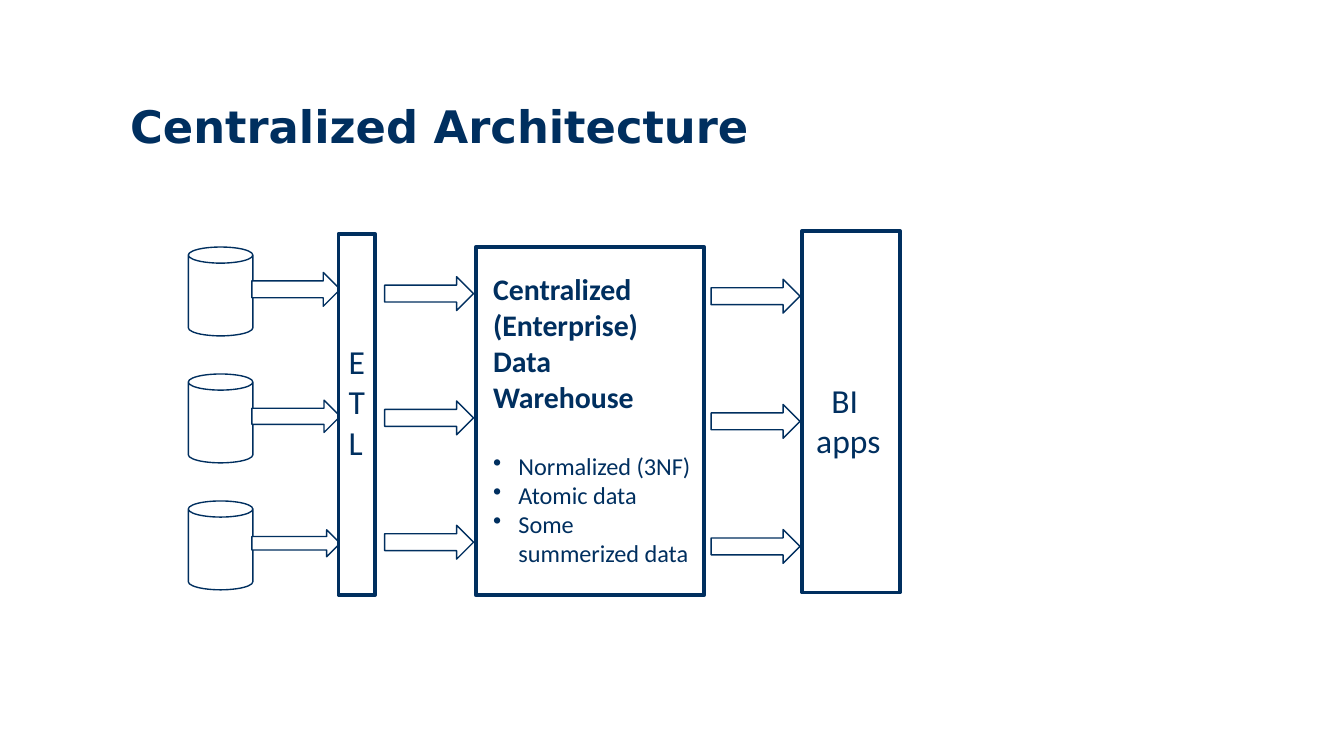
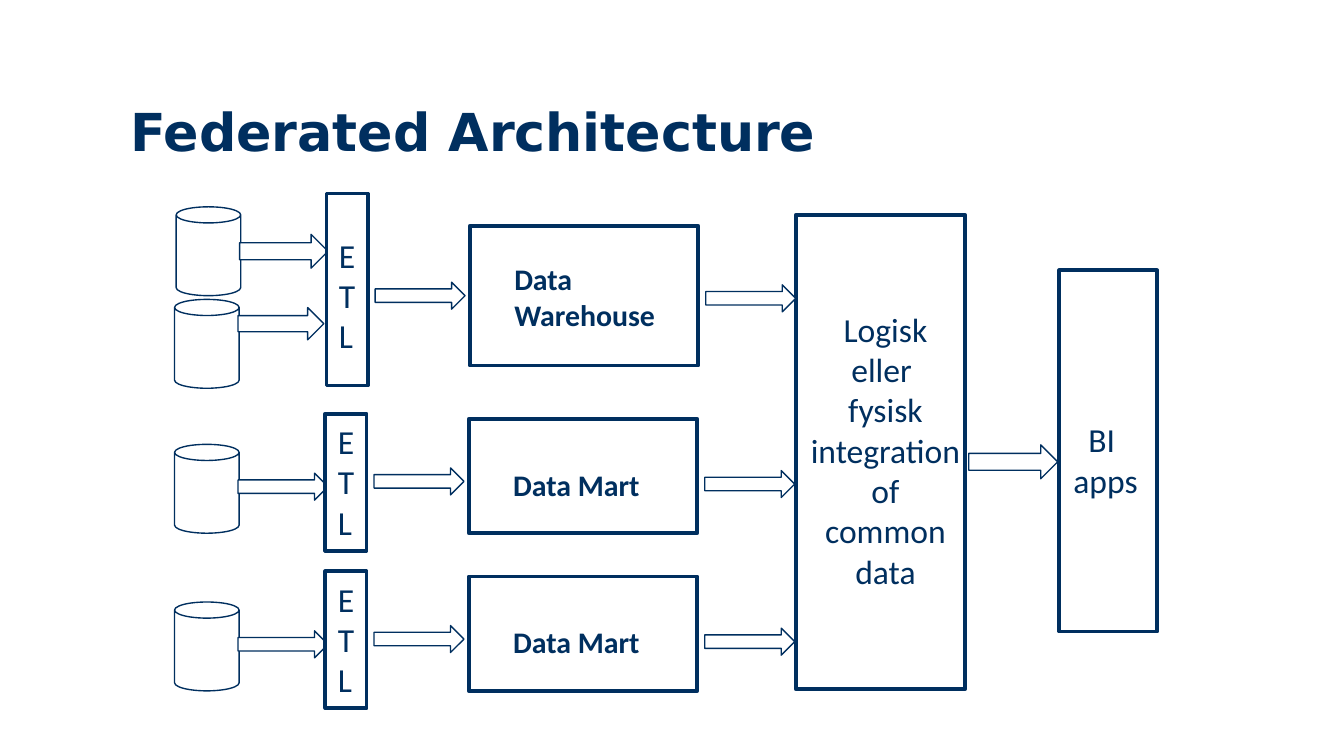
from collections import namedtuple
from dataclasses import dataclass

from lxml.etree import SubElement
from pptx import Presentation
from pptx.dml.color import RGBColor
from pptx.enum.shapes import MSO_SHAPE as Preset
from pptx.enum.text import MSO_ANCHOR as Anchor, PP_ALIGN as Align
from pptx.oxml.ns import qn
from pptx.util import Cm, Pt

Box = namedtuple("Box", "left top width height")


@dataclass(frozen=True)
class Theme:
    """Colours, fonts, type sizes and line widths of the deck."""
    navy: RGBColor = RGBColor(0x00, 0x2F, 0x5F)
    white: RGBColor = RGBColor(0xFF, 0xFF, 0xFF)
    title_font: str = "DejaVu Sans"
    body_font: str = "Calibri"
    label_size: int = 18
    store_size: int = 16
    detail_size: int = 13
    thin: float = 0.75
    thick: float = 2


THEME = Theme()
TITLE_BOX = Box(2.21, 1.75, 19.02, 1.65)
ETL_TEXT = (0.81, 2.57)
BI_SIZE = (1.85, 6.83)
ARROW_HEIGHT = 0.51


def lengths(box):
    """Turn a box in centimetres into slide lengths."""
    return [Cm(value) for value in box]


def inside(box, left, top, width, height):
    """Give a box placed relative to another one."""
    return Box(box.left + left, box.top + top, width, height)


def centred(box, width, height, drop=0):
    """Give a box centred in another one, moved down by drop."""
    return inside(box, (box.width - width) / 2,
                  (box.height - height) / 2 + drop, width, height)


def add_bullet(paragraph):
    """Give a paragraph a hanging bullet."""
    properties = paragraph._p.get_or_add_pPr()
    properties.set("marL", str(Cm(0.48)))
    properties.set("indent", str(-Cm(0.48)))
    SubElement(properties, qn("a:buChar")).set("char", "•")


def write(frame, lines, size=THEME.label_size, font=THEME.body_font,
          bold=False, align=Align.LEFT, bullet=False, before=0):
    """Add formatted paragraphs, with space before the first of them."""
    for number, line in enumerate(lines):
        paragraph = frame.paragraphs[0]
        if paragraph.runs:
            paragraph = frame.add_paragraph()
        if bullet:
            add_bullet(paragraph)
        paragraph.alignment = align
        if before and number == 0:
            paragraph.space_before = Pt(before)
        run = paragraph.add_run()
        run.text = line
        run.font.name = font
        run.font.size = Pt(size)
        run.font.bold = bold
        run.font.color.rgb = THEME.navy


def add_text(slide, box, lines, wrap=True, **style):
    """Add a text box and return its frame."""
    frame = slide.shapes.add_textbox(*lengths(box)).text_frame
    frame.word_wrap = wrap
    frame.vertical_anchor = Anchor.TOP
    write(frame, lines, **style)
    return frame


def outline(slide, preset, box, weight=THEME.thin):
    """Add a white preset shape with a navy outline."""
    shape = slide.shapes.add_shape(preset, *lengths(box))
    shape.shadow.inherit = False
    shape.fill.solid()
    shape.fill.fore_color.rgb = THEME.white
    shape.line.color.rgb = THEME.navy
    shape.line.width = Pt(weight)


def panel(slide, box):
    """Add a heavily outlined rectangle."""
    outline(slide, Preset.RECTANGLE, box, THEME.thick)


def flow(slide, box):
    """Add a block arrow to the right."""
    outline(slide, Preset.RIGHT_ARROW, box)


def flow_column(slide, box, count=3):
    """Spread arrows evenly over the height of a box."""
    height = 0.64
    pitch = (box.height - height) / (count - 1)
    for row in range(count):
        flow(slide, inside(box, 0, row * pitch, box.width, height))


def source(slide, box, thickness=ARROW_HEIGHT, drop=-0.04):
    """Draw a database at the left and its arrow to the right edge."""
    outline(slide, Preset.CAN, inside(box, 0, 0, 1.22, box.height))
    middle = (box.height - thickness) / 2 + drop
    flow(slide, inside(box, 1.2, middle, box.width - 1.2, thickness))


def etl(slide, box, drop=0):
    """Draw the ETL column with its letters stacked."""
    panel(slide, box)
    add_text(slide, centred(box, *ETL_TEXT, drop), "ETL", wrap=False)


def bi_apps(slide, box):
    """Draw the column of BI apps."""
    panel(slide, box)
    add_text(slide, inside(box, 0, 2.69, 1.75, 1.8), ["BI ", "apps"],
             wrap=False, align=Align.CENTER)


def central_warehouse(slide, box):
    """Draw the central warehouse with its properties."""
    panel(slide, box)
    frame = add_text(slide, inside(box, 0.08, 0.33, 4.37, 5.89),
                     ["Centralized (Enterprise) Data Warehouse"],
                     size=THEME.store_size, bold=True)
    write(frame, ["Normalized (3NF)", "Atomic data", "Some summerized data"],
          size=THEME.detail_size, bullet=True, before=19.5)


def integration(slide, box):
    """Draw the integration layer."""
    panel(slide, box)
    add_text(slide, inside(box, 0.02, 1.65, 3.35, 5.64),
             ["Logisk eller ", "fysisk integration of common data"],
             align=Align.CENTER)


def lane(slide, box, label, axis, store, text, etl_drop=0):
    """Draw ETL, store and arrows; store and text are (top, height)."""
    etl(slide, inside(box, 0, 0, 0.78, box.height), etl_drop)
    panel(slide, inside(box, 2.71, store[0], 4.32, store[1]))
    add_text(slide, inside(box, 3.3, text[0], 3.35, text[1]), [label],
             size=THEME.store_size, bold=True)
    for left, drop in ((0.92, 0), (7.17, 0.05)):
        top = axis - ARROW_HEIGHT / 2 + drop
        flow(slide, inside(box, left, top, 1.7, ARROW_HEIGHT))


def titled_slide(deck, title, size):
    """Add a blank slide with a title."""
    slide = deck.slides.add_slide(deck.slide_layouts[6])
    add_text(slide, TITLE_BOX, [title], size=size, font=THEME.title_font,
             bold=True)
    return slide


def centralized_slide(deck):
    """Build the slide on the centralized architecture."""
    slide = titled_slide(deck, "Centralized Architecture", 24)
    for row, thickness in enumerate((0.64, 0.61, 0.51)):
        source(slide, Box(3.56, 4.67 + 2.4 * row, 2.87, 1.68), thickness)
    central_warehouse(slide, Box(8.99, 4.67, 4.32, 6.58))
    etl(slide, Box(6.4, 4.42, 0.69, 6.83), drop=-0.23)
    flow_column(slide, Box(7.27, 5.23, 1.68, 5.34))
    flow_column(slide, Box(13.44, 5.28, 1.68, 5.37))
    bi_apps(slide, Box(15.16, 4.37, *BI_SIZE))


def federated_slide(deck):
    """Build the slide on the federated architecture."""
    slide = titled_slide(deck, "Federated Architecture", 28)
    integration(slide, Box(15.04, 4.06, 3.2, 8.97))
    source(slide, Box(3.33, 3.91, 2.87, 1.68), 0.64, 0)
    source(slide, Box(3.3, 5.66, 2.82, 1.68), 0.61, -0.38)
    lane(slide, Box(6.17, 3.66, 8.87, 3.63), "Data Warehouse", 1.93,
         (0.61, 2.64), (1.14, 1.63), 0.12)
    for row in range(2):
        top = 7.82 + 2.98 * row
        source(slide, Box(3.3, top + 0.58, 2.9, 1.68))
        lane(slide, Box(6.15, top, 8.86, 2.59), "Data Mart", 1.28,
             (0.1, 2.16), (0.87, 0.94))
    flow(slide, Box(18.31, 8.41, 1.68, 0.64))
    bi_apps(slide, Box(20.02, 5.11, *BI_SIZE))


def main():
    """Build and save the deck."""
    deck = Presentation()
    deck.slide_width, deck.slide_height = Cm(25.4), Cm(14.29)
    centralized_slide(deck)
    federated_slide(deck)
    deck.save("out.pptx")


if __name__ == "__main__":
    main()
